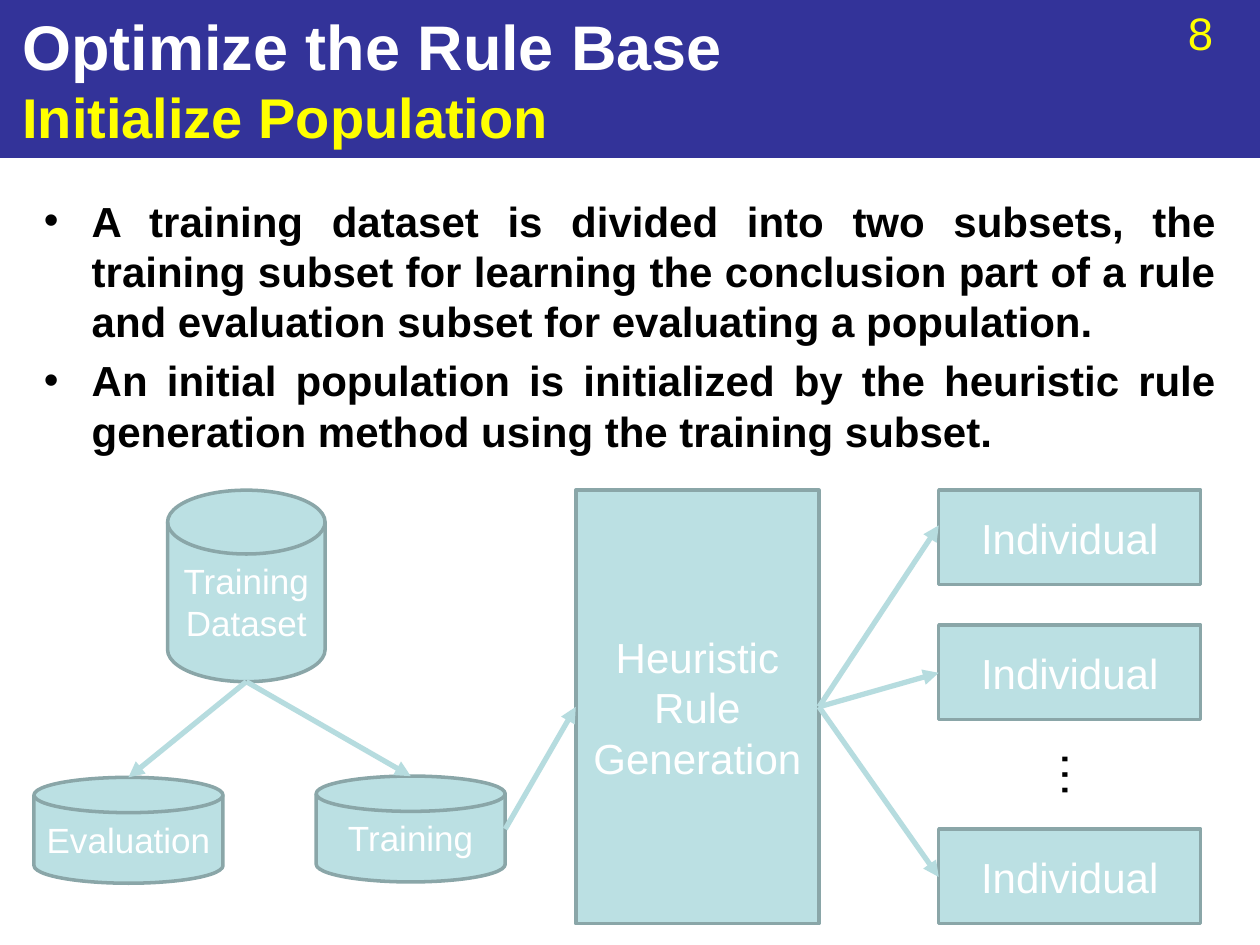
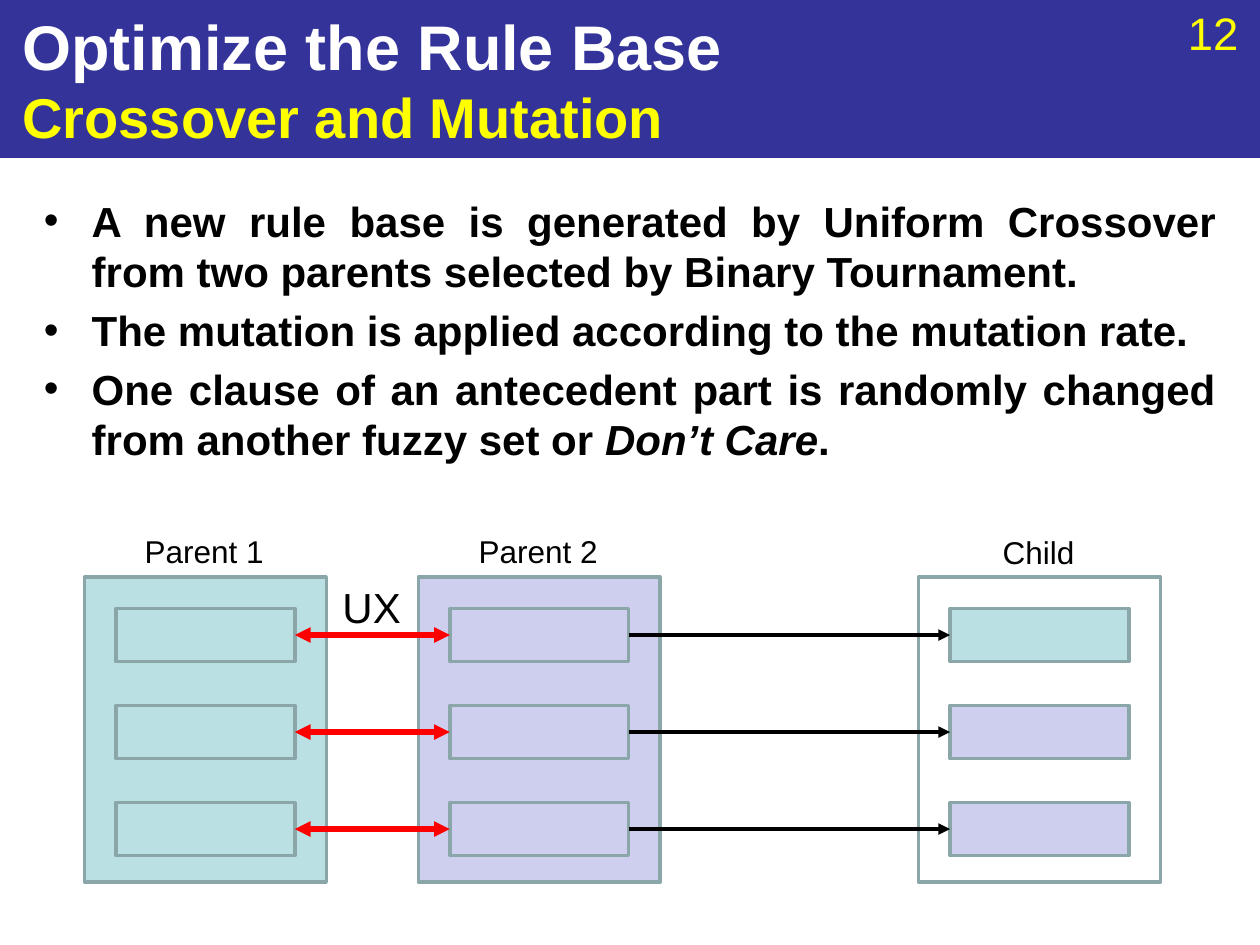
"""Build two slides on optimizing a fuzzy rule base: initial population, crossover and mutation."""
from dataclasses import dataclass
from typing import NamedTuple, Sequence

from lxml import etree
from pptx import Presentation, util as u
from pptx.dml.color import RGBColor
from pptx.enum import shapes, text
from pptx.oxml.ns import qn

RECT = shapes.MSO_SHAPE.RECTANGLE
DISK = shapes.MSO_SHAPE.FLOWCHART_MAGNETIC_DISK
ALIGN = text.PP_ALIGN


@dataclass(frozen=True)
class Theme:
    font: str = "Arial"
    band: str = "333399"
    white: str = "FFFFFF"
    yellow: str = "FFFF00"
    black: str = "000000"
    red: str = "FF0000"
    teal: str = "BBE0E3"
    lilac: str = "CECEEF"
    outline: str = "8AA6A8"
    flow: str = "B6DCDF"
    title: float = 36
    subtitle: float = 32
    number: float = 26
    body: float = 24
    disk: float = 20
    label: float = 18
    dots: float = 28


T = Theme()


class Run(NamedTuple):
    text: str
    italic: bool = False


class Node(NamedTuple):
    x: float
    y: float
    w: float
    h: float
    lines: Sequence[str] = ()
    size: float = T.body
    kind: int = RECT
    fill: str = T.teal
    line: str = T.outline
    weight: float = 2


class Arrow(NamedTuple):
    x1: float
    y1: float
    x2: float
    y2: float
    color: str = T.flow
    weight: float = 3
    both_ends: bool = False


class Label(NamedTuple):
    x: float
    y: float
    w: float
    h: float
    text: str
    size: float = T.label
    color: str = T.black
    wrap: bool = False
    rotation: float = 0


def add_run(p, content: str, size: float, color: str, bold: bool = False, italic: bool = False) -> None:
    r = p.add_run()
    r.text = content
    r.font.name, r.font.size = T.font, u.Pt(size)
    r.font.bold, r.font.italic = bold, italic
    r.font.color.rgb = RGBColor.from_string(color)


def add_box(s, x: float, y: float, w: float, h: float, wrap: bool = True):
    sp = s.shapes.add_textbox(u.Inches(x), u.Inches(y), u.Inches(w), u.Inches(h))
    sp.text_frame.word_wrap = wrap
    return sp


def draw_node(s, n: Node) -> None:
    sp = s.shapes.add_shape(n.kind, u.Inches(n.x), u.Inches(n.y), u.Inches(n.w), u.Inches(n.h))
    sp.shadow.inherit = False
    sp.fill.solid()
    sp.fill.fore_color.rgb = RGBColor.from_string(n.fill)
    sp.line.color.rgb = RGBColor.from_string(n.line)
    sp.line.width = u.Pt(n.weight)
    tf = sp.text_frame
    tf.vertical_anchor = text.MSO_ANCHOR.MIDDLE
    for i, line in enumerate(n.lines):
        p = tf.add_paragraph() if i else tf.paragraphs[0]
        p.alignment = ALIGN.CENTER
        add_run(p, line, n.size, T.white)


def draw_arrow(s, a: Arrow) -> None:
    c = s.shapes.add_connector(shapes.MSO_CONNECTOR.STRAIGHT, u.Inches(a.x1), u.Inches(a.y1),
                               u.Inches(a.x2), u.Inches(a.y2))
    c.line.color.rgb = RGBColor.from_string(a.color)
    c.line.width = u.Pt(a.weight)
    props = c.element.spPr
    ln = props.find(qn("a:ln"))
    for end in ("a:headEnd", "a:tailEnd") if a.both_ends else ("a:tailEnd",):
        etree.SubElement(ln, qn(end), type="triangle")
    etree.SubElement(props, qn("a:effectLst"))


def draw_label(s, l: Label) -> None:
    sp = add_box(s, l.x, l.y, l.w, l.h, l.wrap)
    sp.rotation = l.rotation
    add_run(sp.text_frame.paragraphs[0], l.text, l.size, l.color)


def draw_bullets(s, items: Sequence[Sequence[Run]]) -> None:
    tf = add_box(s, 0.25, 1.5, 9.5, 5.67).text_frame
    for i, runs in enumerate(items):
        p = tf.add_paragraph() if i else tf.paragraphs[0]
        p.alignment = ALIGN.JUSTIFY
        p.space_before = u.Pt(0.2 * T.body)
        props = p._p.get_or_add_pPr()
        props.set("marL", str(u.Inches(0.38)))
        props.set("indent", str(u.Inches(-0.38)))
        etree.SubElement(props, qn("a:buFont"), typeface=T.font)
        etree.SubElement(props, qn("a:buChar"), char="•")
        for run in runs:
            add_run(p, run.text, T.body, T.black, bold=True, italic=run.italic)


def start_slide(prs, number: int, subtitle: str, items: Sequence[Sequence[Run]]):
    s = prs.slides.add_slide(prs.slide_layouts[6])
    draw_node(s, Node(0, 0, 10, 1.25, fill=T.band, line=T.band, weight=0.75))
    draw_label(s, Label(9.33, -0.01, 0.67, 0.54, str(number), T.number, T.yellow, wrap=True))
    tf = add_box(s, 0.08, 0, 9, 1.25).text_frame
    tf.vertical_anchor = text.MSO_ANCHOR.MIDDLE
    p = tf.paragraphs[0]
    add_run(p, "Optimize the Rule Base", T.title, T.white, bold=True)
    p.add_line_break()
    add_run(p, subtitle, T.subtitle, T.yellow, bold=True)
    draw_bullets(s, items)
    return s


def build_population(prs) -> None:
    s = start_slide(prs, 8, "Initialize Population", [
        [Run("A training dataset is divided into two subsets, the training subset for learning the "
             "conclusion part of a rule and evaluation subset for evaluating a population.")],
        [Run("An initial population is initialized by the heuristic rule generation method using "
             "the training subset.")],
    ])
    dataset = Node(1.33, 3.89, 1.25, 1.52, ("Training", "Dataset"), T.disk, DISK)
    evaluation = Node(0.27, 6.17, 1.5, 0.84, ("Evaluation",), T.disk, DISK)
    training = Node(2.51, 6.16, 1.5, 0.84, ("Training",), T.disk, DISK)
    heuristic = Node(4.57, 3.89, 1.93, 3.44, ("Heuristic", "Rule", "Generation"))
    individuals = [Node(7.45, y, 2.08, 0.75, ("Individual",)) for y in (3.89, 4.96, 6.58)]
    for node in (dataset, evaluation, training, heuristic, *individuals):
        draw_node(s, node)

    for subset in (evaluation, training):
        draw_arrow(s, Arrow(dataset.x + dataset.w / 2, dataset.y + dataset.h,
                            subset.x + subset.w / 2, subset.y))
    middle = heuristic.y + heuristic.h / 2
    draw_arrow(s, Arrow(training.x + training.w, training.y + training.h / 2, heuristic.x, middle))
    for individual, y in zip(individuals, (4.17, 5.34, 6.96)):
        draw_arrow(s, Arrow(heuristic.x + heuristic.w, middle, individual.x, y))
    draw_label(s, Label(8.29, 5.87, 0.59, 0.57, "…", T.dots, rotation=90))


def build_crossover(prs) -> None:
    s = start_slide(prs, 12, "Crossover and Mutation", [
        [Run("A new rule base is generated by Uniform Crossover from two parents selected by "
             "Binary Tournament.")],
        [Run("The mutation is applied according to the mutation rate.")],
        [Run("One clause of an antecedent part is randomly changed from another fuzzy set or "),
         Run("Don’t Care", italic=True), Run(".")],
    ])
    top, inset, pitch, rule_w, rule_h = 4.58, 0.25, 0.77, 1.42, 0.42
    parent1, parent2, child = 0.67, 3.32, 7.29
    rule_bases = (
        (parent1, T.teal, (T.teal,) * 3),
        (parent2, T.lilac, (T.lilac,) * 3),
        (child, T.white, (T.teal, T.lilac, T.lilac)),
    )
    for x, fill, rules in rule_bases:
        draw_node(s, Node(x, top, 1.92, 2.42, fill=fill))
        for i, rule in enumerate(rules):
            draw_node(s, Node(x + inset, top + inset + i * pitch, rule_w, rule_h, fill=rule))

    for i in range(3):
        y = top + inset + i * pitch + rule_h / 2
        draw_arrow(s, Arrow(parent1 + inset + rule_w, y, parent2 + inset, y, T.red, both_ends=True))
        draw_arrow(s, Arrow(parent2 + inset + rule_w, y, child + inset, y, T.black, 2.25))
    for label in (
        Label(2.62, 4.57, 0.67, 0.5, "UX", T.body),
        Label(1.05, 4.17, 1.16, 0.4, "Parent 1"),
        Label(3.7, 4.17, 1.16, 0.4, "Parent 2"),
        Label(7.86, 4.18, 0.78, 0.4, "Child"),
    ):
        draw_label(s, label)


def main() -> None:
    prs = Presentation()
    prs.slide_width, prs.slide_height = u.Inches(10), u.Inches(7.5)
    build_population(prs)
    build_crossover(prs)
    prs.save("out.pptx")


main()
